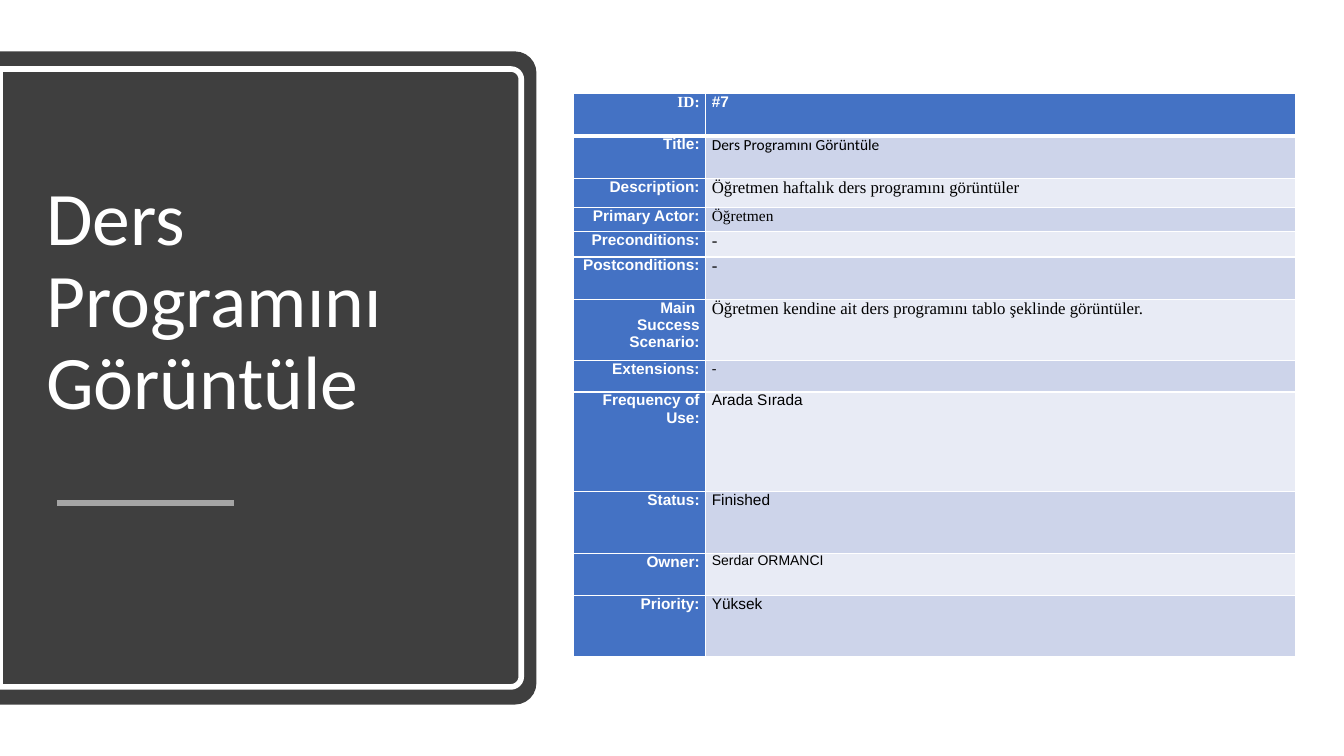
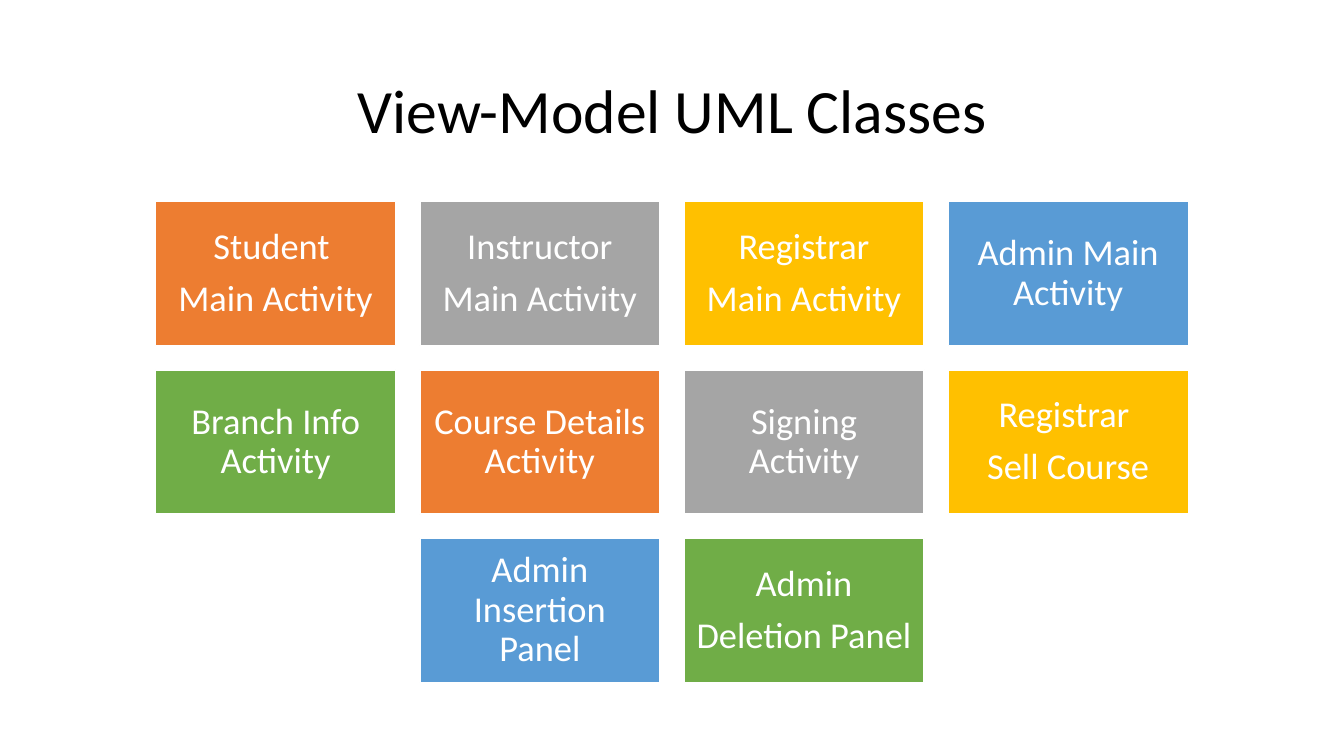
from itertools import cycle

from lxml.etree import SubElement
from pptx import Presentation
from pptx.dml.color import RGBColor
from pptx.enum.shapes import MSO_CONNECTOR, MSO_SHAPE
from pptx.enum.text import MSO_ANCHOR, PP_ALIGN
from pptx.oxml.ns import qn
from pptx.util import Inches, Pt

SLIDE_WIDTH, SLIDE_HEIGHT = 13.33, 7.5
WHITE, BLACK, CHARCOAL, GREY = "FFFFFF", "000000", "3F3F3F", "A5A5A5"
LABEL_FILL, BANDS = "4472C4", ("CDD4EA", "E8EBF5")
TILE_COLOURS = ("ED7D31", GREY, "FFC000", "599BD5", "70AD47")
SANS, SERIF, BODY = "Arial", "Times New Roman", "Calibri"

USE_CASE_TITLE = "Ders Programını Görüntüle"
USE_CASE = [
    ("ID:", "#7", SANS, 11, 0.42),
    ("Title:", USE_CASE_TITLE, BODY, 11, 0.42),
    ("Description:", "Öğretmen haftalık ders programını görüntüler", SERIF, 12, 0.29),
    ("Primary Actor:", "Öğretmen", SERIF, 11, 0.24),
    ("Preconditions:", "-", SERIF, 12, 0.25),
    ("Postconditions:", "-", SERIF, 12, 0.42),
    ("Main \vSuccess Scenario:",
     "Öğretmen kendine ait ders programını tablo şeklinde görüntüler.", SERIF, 12, 0.61),
    ("Extensions:", "-", SERIF, 10, 0.31),
    ("Frequency of Use:", "Arada Sırada", SANS, 11, 0.99),
    ("Status:", "Finished", SANS, 11, 0.61),
    ("Owner:", "Serdar ORMANCI", SANS, 10, 0.42),
    ("Priority:", "Yüksek", SANS, 11, 0.61),
]
TABLE_LEFT, TABLE_TOP, TABLE_COLUMNS = 5.69, 0.93, (1.31, 5.85)

CLASSES_TITLE = "View-Model UML Classes"
CLASS_ROWS = [
    ["Student \nMain Activity", "Instructor\nMain Activity",
     "Registrar\nMain Activity", "Admin Main Activity"],
    ["Branch Info Activity", "Course Details Activity",
     "Signing Activity", "Registrar \nSell Course"],
    ["Admin Insertion Panel", "Admin\nDeletion Panel"],
]
TILE_WIDTH, TILE_HEIGHT, TILE_GAP, TILES_TOP = 2.38, 1.43, 0.24, 2


def colour(value):
    return RGBColor.from_string(value)


def set_font(paragraph, name, size, value, bold=False):
    font = paragraph.font
    font.name, font.size, font.bold = name, Pt(size), bold
    font.color.rgb = colour(value)


def set_margins(target, horizontal, vertical):
    target.margin_left = target.margin_right = Inches(horizontal)
    target.margin_top = target.margin_bottom = Inches(vertical)


def write(box, text, size, value, align, margins):
    frame = box.text_frame
    frame.word_wrap = True
    frame.vertical_anchor = MSO_ANCHOR.MIDDLE
    set_margins(frame, *margins)
    frame.text = text
    for index, paragraph in enumerate(frame.paragraphs):
        paragraph.alignment = align
        paragraph.line_spacing = 0.9
        paragraph.space_before = Pt(9.1 if index else 0)
        set_font(paragraph, BODY, size, value)


def add_title(page, text, area, size, value, align):
    box = page.shapes.add_textbox(*map(Inches, area))
    write(box, text, size, value, align, (0.1, 0.05))


def add_box(page, preset, area, fill=None, line=None, weight=1):
    box = page.shapes.add_shape(preset, *map(Inches, area))
    box.shadow.inherit = False
    if fill:
        box.fill.solid()
        box.fill.fore_color.rgb = colour(fill)
    else:
        box.fill.background()
    if line:
        box.line.color.rgb = colour(line)
        box.line.width = Pt(weight)
    else:
        box.line.fill.background()
    return box


def add_side_panel(page, right, height, rounding, **look):
    left = (right - height) / 2
    top = (SLIDE_HEIGHT - right) / 2
    panel = add_box(page, MSO_SHAPE.ROUND_2_SAME_RECTANGLE,
                    (left, top, height, right), **look)
    panel.adjustments[0], panel.adjustments[1] = rounding, 0
    panel.rotation = 90
    return panel


def add_accent_line(page, left, right, top):
    line = page.shapes.add_connector(
        MSO_CONNECTOR.STRAIGHT, *map(Inches, (left, top, right, top)))
    line.line.color.rgb = colour(GREY)
    line.line.width = Pt(4)
    SubElement(line.element.spPr, qn("a:effectLst"))


def add_borders(cell, row):
    properties = cell._tc.get_or_add_tcPr()
    weights = {"L": 1, "R": 1, "T": 3 if row == 1 else 1, "B": 3 if row == 0 else 1}
    for side, weight in weights.items():
        border = SubElement(properties, qn(f"a:ln{side}"), w=str(Pt(weight)))
        SubElement(SubElement(border, qn("a:solidFill")), qn("a:srgbClr"), val=WHITE)


def fill_cell(cell, row, text, name, size, value, fill, bold, align):
    set_margins(cell, 0.06, 0)
    cell.text = text
    paragraph = cell.text_frame.paragraphs[0]
    paragraph.alignment = align
    set_font(paragraph, name, size, value, bold)
    add_borders(cell, row)
    cell.fill.solid()
    cell.fill.fore_color.rgb = colour(fill)


def add_use_case_table(page):
    height = sum(entry[-1] for entry in USE_CASE)
    area = (TABLE_LEFT, TABLE_TOP, sum(TABLE_COLUMNS), height)
    table = page.shapes.add_table(
        len(USE_CASE), len(TABLE_COLUMNS), *map(Inches, area)).table
    for column, width in zip(table.columns, TABLE_COLUMNS):
        column.width = Inches(width)
    for row, (label, text, name, size, height) in enumerate(USE_CASE):
        table.rows[row].height = Inches(height)
        header = row == 0
        fill_cell(table.cell(row, 0), row, label, SERIF if header else SANS, 11,
                  WHITE, LABEL_FILL, True, PP_ALIGN.RIGHT)
        fill_cell(table.cell(row, 1), row, text, name, size,
                  WHITE if header else BLACK,
                  LABEL_FILL if header else BANDS[(row - 1) % 2],
                  header, PP_ALIGN.LEFT)


def add_class_tiles(page):
    colours = cycle(TILE_COLOURS)
    for row, names in enumerate(CLASS_ROWS):
        row_width = len(names) * (TILE_WIDTH + TILE_GAP) - TILE_GAP
        left = (SLIDE_WIDTH - row_width) / 2
        top = TILES_TOP + row * (TILE_HEIGHT + TILE_GAP)
        for column, name in enumerate(names):
            area = (left + column * (TILE_WIDTH + TILE_GAP), top, TILE_WIDTH, TILE_HEIGHT)
            tile = add_box(page, MSO_SHAPE.RECTANGLE, area, next(colours), WHITE)
            write(tile, name, 26, WHITE, PP_ALIGN.CENTER, (0.11, 0.11))


def main():
    deck = Presentation()
    deck.slide_width, deck.slide_height = Inches(SLIDE_WIDTH), Inches(SLIDE_HEIGHT)
    use_case, classes = (deck.slides.add_slide(deck.slide_layouts[6]) for _ in range(2))

    add_side_panel(use_case, 5.32, 6.48, 0.04, fill=CHARCOAL)
    add_title(use_case, USE_CASE_TITLE, (0.36, 1.23, 4.34, 3.55), 54, WHITE, PP_ALIGN.LEFT)
    add_side_panel(use_case, 5.17, 6.13, 0.02, line=WHITE, weight=4)
    add_accent_line(use_case, 0.57, 2.32, 4.99)
    add_use_case_table(use_case)

    add_title(classes, CLASSES_TITLE, (0.92, 0.4, 11.5, 1.45), 44, BLACK, PP_ALIGN.CENTER)
    add_class_tiles(classes)
    deck.save("out.pptx")


if __name__ == "__main__":
    main()
